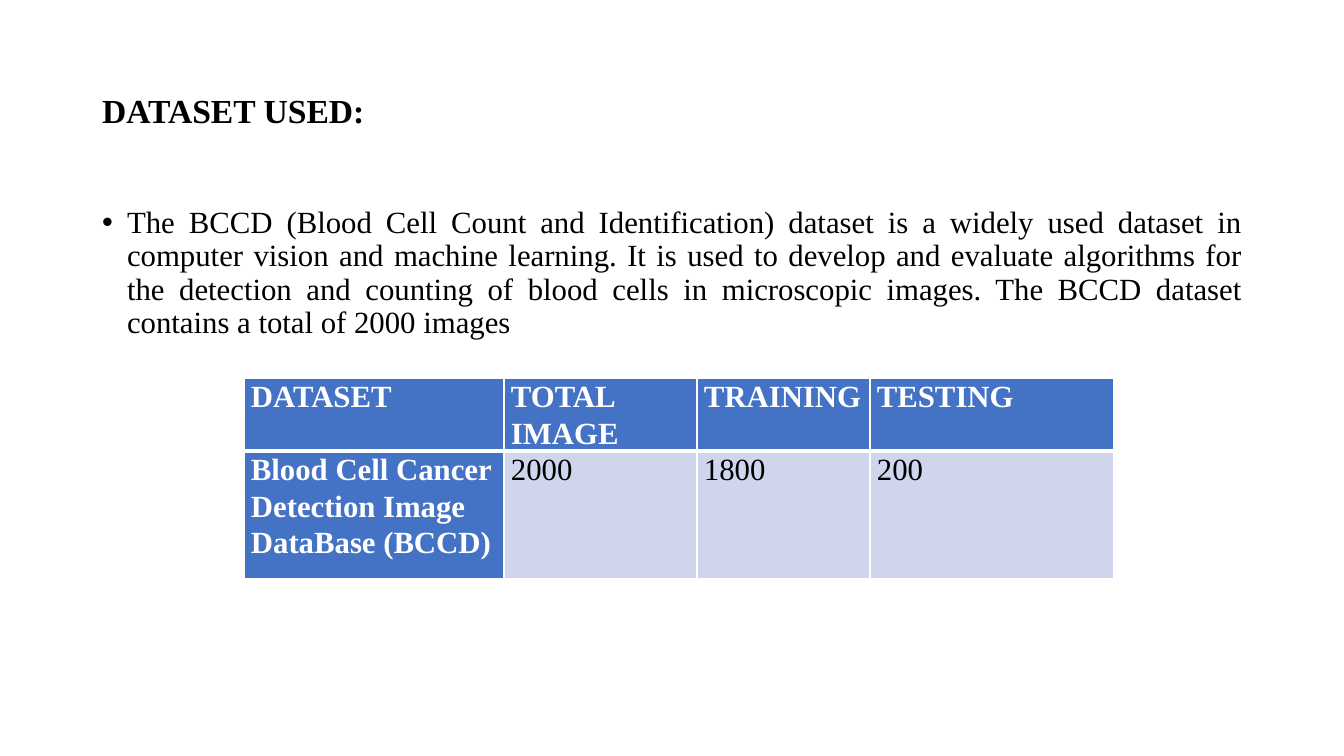
"""Build the slide that presents the BCCD dataset and its training and testing split."""
import lxml.etree
import pptx
import pptx.dml.color
import pptx.enum.text
import pptx.oxml
import pptx.oxml.ns
import pptx.util

BLACK = pptx.dml.color.RGBColor(0x00, 0x00, 0x00)
WHITE = pptx.dml.color.RGBColor(0xFF, 0xFF, 0xFF)
BLUE = pptx.dml.color.RGBColor(0x44, 0x72, 0xC4)
PALE_BLUE = pptx.dml.color.RGBColor(0xCF, 0xD5, 0xEA)
FONT = "Times New Roman"
SLIDE_WIDTH, SLIDE_HEIGHT = 1344, 756
EMU_PER_PX = 12192000 / SLIDE_WIDTH


def px(length):
    return pptx.util.Emu(round(length * EMU_PER_PX))


def write(paragraph, text, size, color, bold, line_spacing):
    run = paragraph.add_run()
    run.text = text
    run.font.name = FONT
    run.font.size = pptx.util.Pt(size)
    run.font.bold = bold
    run.font.color.rgb = color
    paragraph.line_spacing = line_spacing


deck = pptx.Presentation()
deck.slide_width = px(SLIDE_WIDTH)
deck.slide_height = px(SLIDE_HEIGHT)
slide = deck.slides.add_slide(deck.slide_layouts[1])

heading = slide.shapes.title
description = slide.placeholders[1]
for holder, top, height in ((heading, 40, 146), (description, 202, 480)):
    holder.left, holder.top = px(92), px(top)
    holder.width, holder.height = px(1160), px(height)
    holder.text_frame.word_wrap = True
    holder.text_frame.auto_size = pptx.enum.text.MSO_AUTO_SIZE.NONE

heading.text_frame.vertical_anchor = pptx.enum.text.MSO_ANCHOR.MIDDLE
heading_line = heading.text_frame.paragraphs[0]
heading_line.alignment = pptx.enum.text.PP_ALIGN.LEFT
write(heading_line, "DATASET USED:", 24, BLACK, True, 0.9)

summary = description.text_frame.paragraphs[0]
summary.alignment = pptx.enum.text.PP_ALIGN.JUSTIFY
write(
    summary,
    "The BCCD (Blood Cell Count and Identification) dataset is a widely used dataset in "
    "computer vision and machine learning. It is used to develop and evaluate algorithms for "
    "the detection and counting of blood cells in microscopic images. The BCCD dataset "
    "contains a total of 2000 images",
    22, BLACK, False, 0.9,
)
summary.space_before = pptx.util.Pt(10)
bullet_format = summary._p.get_or_add_pPr()
bullet_format.set("marL", str(px(25)))
bullet_format.set("indent", str(px(-25)))
bullet_font = lxml.etree.SubElement(bullet_format, pptx.oxml.ns.qn("a:buFont"))
bullet_font.set("typeface", "Arial")
bullet = lxml.etree.SubElement(bullet_format, pptx.oxml.ns.qn("a:buChar"))
bullet.set("char", "•")

SPLIT = (
    ("DATASET", "TOTAL IMAGE", "TRAINING", "TESTING"),
    ("Blood Cell Cancer Detection Image DataBase (BCCD)", "2000", "1800", "200"),
)
COLUMN_WIDTHS = (260, 193, 173, 244)
ROW_HEIGHTS = (73, 128)

split_table = slide.shapes.add_table(
    len(ROW_HEIGHTS), len(COLUMN_WIDTHS),
    px(244), px(378), px(sum(COLUMN_WIDTHS)), px(sum(ROW_HEIGHTS)),
).table
split_table.first_col = True
for column, width in zip(split_table.columns, COLUMN_WIDTHS):
    column.width = px(width)
for row, height in zip(split_table.rows, ROW_HEIGHTS):
    row.height = px(height)

for row_index, labels in enumerate(SPLIT):
    for column_index, label in enumerate(labels):
        cell = split_table.cell(row_index, column_index)
        is_header = row_index == 0 or column_index == 0
        cell.margin_left = cell.margin_right = px(7)
        cell.margin_top = cell.margin_bottom = 0
        cell.fill.solid()
        cell.fill.fore_color.rgb = BLUE if is_header else PALE_BLUE
        entry = cell.text_frame.paragraphs[0]
        write(entry, label, 22, WHITE if is_header else BLACK, is_header, 1.07)
        entry.space_after = pptx.util.Pt(8)
        for position, side in enumerate(("lnL", "lnR", "lnT", "lnB")):
            below_header = (row_index, side) in ((0, "lnB"), (1, "lnT"))
            border = pptx.oxml.parse_xml(
                f'<a:{side} {pptx.oxml.ns.nsdecls("a")} w="{pptx.util.Pt(3 if below_header else 1)}">'
                f'<a:solidFill><a:srgbClr val="{WHITE}"/></a:solidFill></a:{side}>'
            )
            cell._tc.get_or_add_tcPr().insert(position, border)

deck.save("out.pptx")
